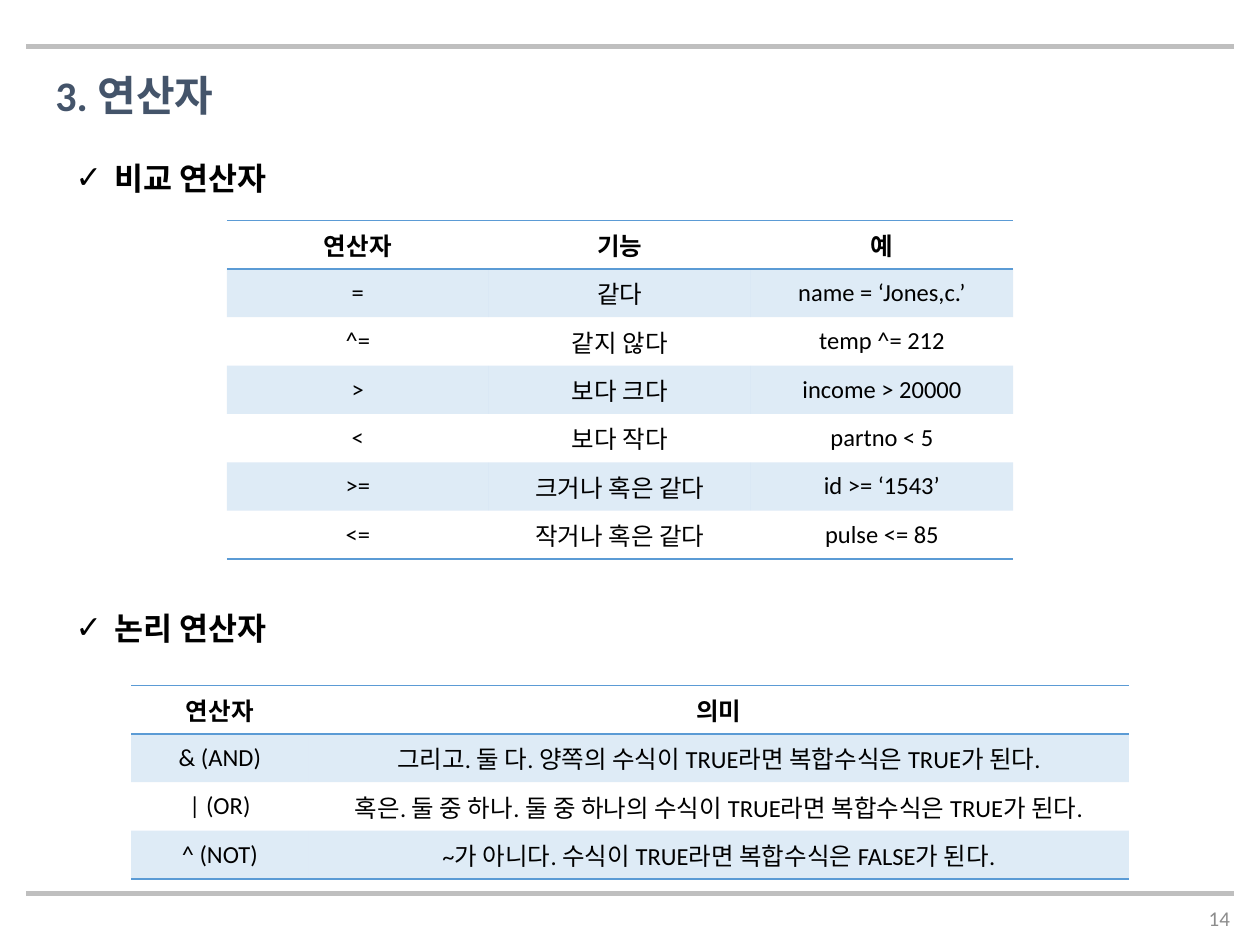
from dataclasses import dataclass

from lxml import etree
from pptx import Presentation
from pptx import util as u
from pptx.dml.color import RGBColor
from pptx.enum import shapes, text
from pptx.oxml import ns

WIDE, HIGH = 10, 7.5
ROW = 0.36
PLAIN = "{2D5ABB26-0587-4C30-8999-92F81FD0307C}"  # no style, no grid


@dataclass(frozen=True)
class Theme:
    ink: str = "000000"
    title: str = "44546A"
    rule: str = "BFBFBF"
    page: str = "8C8C8C"
    blue: str = "5B9BD5"
    tint: int = 20  # percent opacity of banded rows
    main: str = "Calibri"
    head: str = "Arial"


@dataclass(frozen=True)
class Part:
    name: str
    top: float
    left: float
    grid: float
    cols: tuple
    rows: tuple


T = Theme()
PARTS = (
    Part("비교 연산자", 1.06, 1.8, 1.75, (2.08, 2.08, 2.08), (
        ("연산자", "기능", "예"),
        ("=", "같다", "name = ‘Jones,c.’"),
        ("^=", "같지 않다", "temp ^= 212"),
        (">", "보다 크다", "income > 20000"),
        ("<", "보다 작다", "partno < 5"),
        (">=", "크거나 혹은 같다", "id >= ‘1543’"),
        ("<=", "작거나 혹은 같다", "pulse <= 85"),
    )),
    Part("논리 연산자", 4.63, 1.04, 5.44, (1.41, 6.51), (
        ("연산자", "의미"),
        ("& (AND)", "그리고. 둘 다. 양쪽의 수식이 TRUE라면 복합수식은 TRUE가 된다."),
        ("| (OR)", "혹은. 둘 중 하나. 둘 중 하나의 수식이 TRUE라면 복합수식은 TRUE가 된다."),
        ("^ (NOT)", "~가 아니다. 수식이 TRUE라면 복합수식은 FALSE가 된다."),
    )),
)


def add(node, tag: str, **attrs):
    return etree.SubElement(node, ns.qn(tag), attrs)


def style(para, size: int, color: str, face: str, bold: bool = False) -> None:
    form = {"size": u.Pt(size), "name": face, "bold": bold}
    for run in para.runs:
        for key, val in form.items():
            setattr(run.font, key, val)
        run.font.color.rgb = RGBColor.from_string(color)


def place(shape, left: float, top: float, width: float, height: float,
          words: str, anchor=text.MSO_ANCHOR.TOP, align=text.PP_ALIGN.LEFT):
    """Move a text shape, fill it and return its paragraph."""
    box = {"left": left, "top": top, "width": width, "height": height}
    for key, val in box.items():
        setattr(shape, key, u.Inches(val))
    frame = shape.text_frame
    form = {"text": words, "word_wrap": True, "vertical_anchor": anchor,
            "auto_size": text.MSO_AUTO_SIZE.NONE}
    for key, val in form.items():
        setattr(frame, key, val)
    para = frame.paragraphs[0]
    para.alignment = align
    return para


def rule(slide, top: float) -> None:
    edge = 0.21
    line = slide.shapes.add_connector(
        shapes.MSO_CONNECTOR.STRAIGHT, u.Inches(edge), u.Inches(top),
        u.Inches(WIDE - edge), u.Inches(top))
    line.line.color.rgb = RGBColor.from_string(T.rule)
    line.line.width = u.Pt(3)
    add(line._element.spPr, "a:effectLst")


def heading(shape, part: Part) -> None:
    para = place(shape, 0.5, part.top, 2.1, 0.56, part.name)
    props = para._p.get_or_add_pPr()
    props.set("marL", str(u.Inches(0.31)))
    props.set("indent", str(u.Inches(-0.31)))
    add(props, "a:buChar", char="✓")
    para.line_spacing = 1.5
    para.space_before = u.Pt(0)
    style(para, 18, T.ink, T.head, True)


def border(cell, side: str) -> None:
    line = add(cell._tc.get_or_add_tcPr(), side, w=str(u.Pt(1)))
    add(add(line, "a:solidFill"), "a:srgbClr", val=T.blue)


def band(cell) -> None:
    cell.fill.solid()
    cell.fill.fore_color.rgb = RGBColor.from_string(T.blue)
    color = cell._tc.tcPr.find(".//" + ns.qn("a:solidFill") + "[last()]")
    fill = cell._tc.tcPr.find(ns.qn("a:solidFill"))
    color = fill.find(ns.qn("a:srgbClr"))
    add(color, "a:alpha", val=str(T.tint * 1000))


def table(slide, part: Part) -> None:
    last = len(part.rows) - 1
    grid = slide.shapes.add_table(
        last + 1, len(part.cols), u.Inches(part.left), u.Inches(part.grid),
        u.Inches(sum(part.cols)), u.Inches(ROW * (last + 1))).table
    grid.horz_banding = False
    grid._tbl.tblPr.find(ns.qn("a:tableStyleId")).text = PLAIN
    for col, width in zip(grid.columns, part.cols):
        col.width = u.Inches(width)
    for r, row in enumerate(part.rows):
        for c, words in enumerate(row):
            cell = grid.cell(r, c)
            cell.text = words
            cell.vertical_anchor = text.MSO_ANCHOR.MIDDLE
            para = cell.text_frame.paragraphs[0]
            para.alignment = text.PP_ALIGN.CENTER
            style(para, 14, T.ink, T.main, r == 0)
            # Borders precede the fill in the cell's XML
            if r == 0:
                border(cell, "a:lnT")
            if r in (0, last):
                border(cell, "a:lnB")
            if r % 2:
                band(cell)
            else:
                cell.fill.background()


def main() -> None:
    deck = Presentation()
    deck.slide_width, deck.slide_height = u.Inches(WIDE), u.Inches(HIGH)
    slide = deck.slides.add_slide(deck.slide_layouts[3])
    title, *heads = slide.placeholders

    # Frame and page number
    for top in (0.37, 7.09):
        rule(slide, top)
    page = slide.shapes.add_textbox(0, 0, 0, 0)
    para = place(page, 9.41, 7.09, 0.45, 0.4, "14",
                 text.MSO_ANCHOR.MIDDLE, text.PP_ALIGN.RIGHT)
    style(para, 12, T.page, T.main)

    # Title
    para = place(title, 0.34, 0.5, 6.11, 0.5, "3. 연산자")
    style(para, 24, T.title, T.main, True)

    # Headed tables
    for head, part in zip(heads, PARTS):
        heading(head, part)
        table(slide, part)
    deck.save("out.pptx")


if __name__ == "__main__":
    main()
